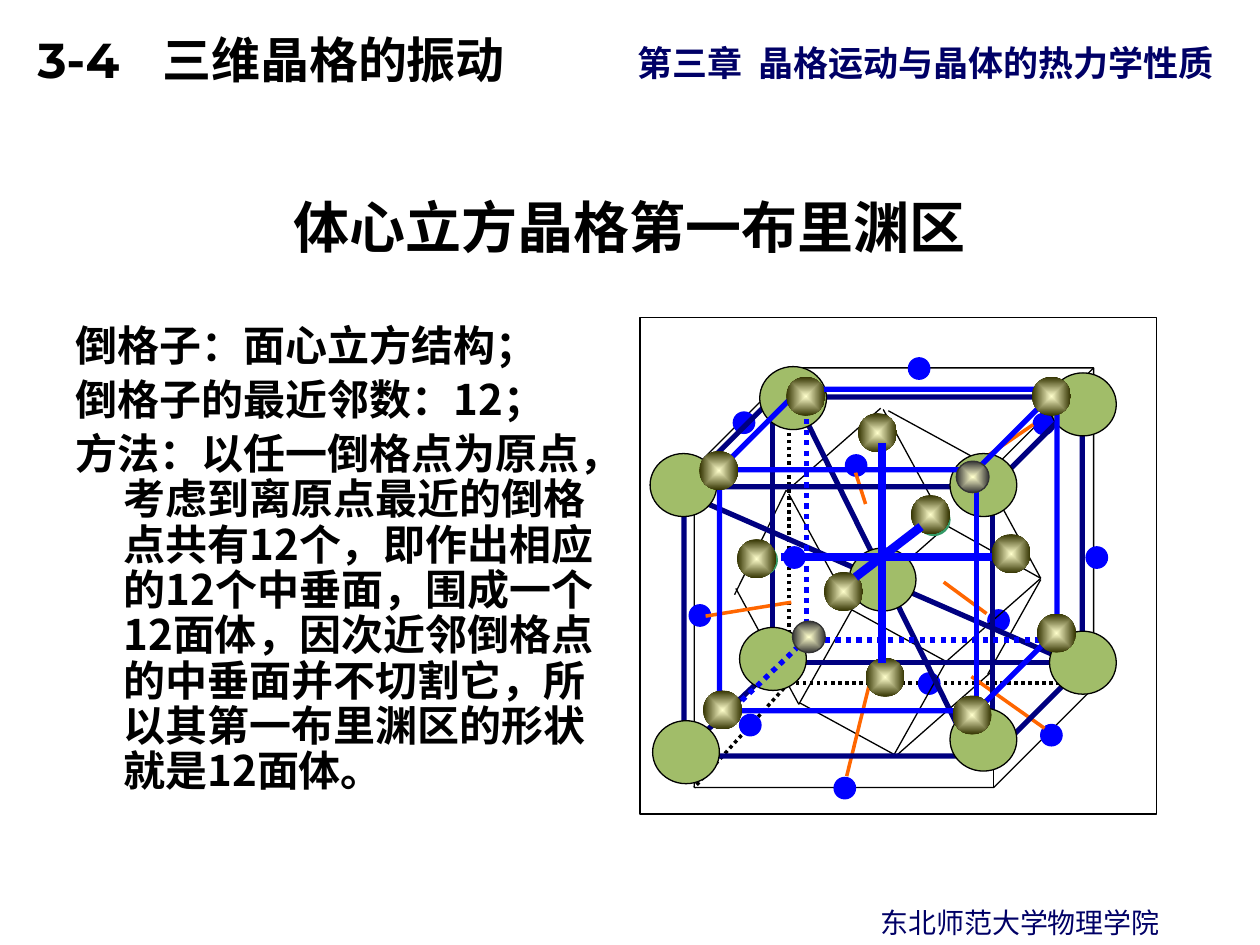
from lxml import etree
from pptx import Presentation, util as u
from pptx.dml.color import RGBColor
from pptx.enum import dml, shapes, text
from pptx.oxml.ns import qn

HEX = {"ink": "000000", "paper": "FFFFFF", "head": "000066", "navy": "000080",
       "blue": "0000FF", "orange": "FF6600", "leaf": "A1BD69", "green": "339966",
       "glow": "FFFFCC", "olive": "333300", "gray": "333333"}
RGB = {name: RGBColor.from_string(code) for name, code in HEX.items()}
CJK = "Noto Sans CJK SC"
KIND = shapes.MSO_SHAPE

deck = Presentation()
deck.slide_width, deck.slide_height = u.Inches(10), u.Inches(7.5)
# Grid of 100 columns by 75 rows
col, row = deck.slide_width / 100, deck.slide_height / 75
slide = deck.slides.add_slide(deck.slide_layouts[1])


def put(kind, x, y, w, h, fill=None, line=None, width=0.75):
    """Add a preset shape; a fill of two colours glows from the centre."""
    item = slide.shapes.add_shape(kind, int(x * col), int(y * row), int(w * col), int(h * row))
    item.shadow.inherit = False
    if isinstance(fill, tuple):
        item.fill.gradient()
        for stop, name in zip(item.fill.gradient_stops, fill):
            stop.color.rgb = RGB[name]
        grad = item._element.spPr.find(qn("a:gradFill"))
        grad.remove(grad.find(qn("a:lin")))
        way = etree.SubElement(grad, qn("a:path"), path="shape")
        etree.SubElement(way, qn("a:fillToRect"), l="50000", t="50000", r="50000", b="50000")
    elif fill:
        item.fill.solid()
        item.fill.fore_color.rgb = RGB[fill]
    else:
        item.fill.background()
    if line:
        item.line.color.rgb = RGB[line]
        item.line.width = u.Pt(width)
    else:
        item.line.fill.background()


def rod(x1, y1, x2, y2, color="ink", width=0.75, dots=False):
    """Add a straight line between two grid points."""
    item = slide.shapes.add_connector(shapes.MSO_CONNECTOR.STRAIGHT, int(x1 * col),
                                      int(y1 * row), int(x2 * col), int(y2 * row))
    item.line.color.rgb = RGB[color]
    item.line.width = u.Pt(width)
    if dots:
        item.line.dash_style = dml.MSO_LINE.ROUND_DOT
    etree.SubElement(item._element.spPr, qn("a:effectLst"))


# Title and body
title, body = slide.shapes.title, slide.placeholders[1]
title.text_frame.text = "体心立方晶格第一布里渊区"
body.text_frame.text = "\n".join([
    "倒格子：面心立方结构；",
    "倒格子的最近邻数：12；",
    "方法：以任一倒格点为原点，考虑到离原点最近的倒格点共有12个，即作出相应的12个中垂面，"
    "围成一个12面体，因次近邻倒格点的中垂面并不切割它，所以其第一布里渊区的形状就是12面体。"])
for i, para in enumerate(body.text_frame.paragraphs):
    props = para._p.get_or_add_pPr()
    props.set("marL", str(u.Inches(0.38)))
    props.set("indent", str(-u.Inches(0.38)))
    etree.SubElement(props, qn("a:buNone"))
    para.space_before = u.Pt(5 if i else 0)

# Header and footer: place, words, tab stop
heads = []
for x, y, w, h, words, tab in [(49.6, 2.8, 50.8, 4.4, "第三章\t晶格运动与晶体的热力学性质", 0.96),
                               (2, 0.7, 79.7, 6.9, "3-4\t三维晶格的振动", 0.99),
                               (68.9, 71.4, 31.1, 3.7, "东北师范大学物理学院", None)]:
    box = slide.shapes.add_textbox(int(x * col), int(y * row), int(w * col), int(h * row))
    box.text_frame.word_wrap = True
    box.text_frame.text = words
    if tab:
        props = box.text_frame.paragraphs[0]._p.get_or_add_pPr()
        tabs = etree.SubElement(props, qn("a:tabLst"))
        etree.SubElement(tabs, qn("a:tab"), pos=str(u.Inches(tab)), algn="l")
    heads.append(box)

# Place of the placeholders
for box, x, y, w, h in [(title, 7.5, 13.1, 85, 8.1), (body, 5, 25.3, 44.2, 40.8)]:
    box.left, box.top, box.width, box.height = int(x * col), int(y * row), int(w * col), int(h * row)
    box.text_frame.auto_size = text.MSO_AUTO_SIZE.NONE
title.text_frame.vertical_anchor = text.MSO_ANCHOR.BOTTOM
title.text_frame.paragraphs[0].alignment = text.PP_ALIGN.CENTER

# Fonts of all text
for box, size, color, bold, face, gap in [
        (title, 32, "ink", True, CJK, 0.9), (body, 24, "ink", True, CJK, 0.9),
        (heads[0], 20, "head", True, CJK, 1), (heads[1], 28, "ink", True, "Montserrat", 1.25),
        (heads[2], 16, "head", False, CJK, 1)]:
    for para in box.text_frame.paragraphs:
        para.line_spacing = gap
        for run in para.runs:
            run.font.size, run.font.bold, run.font.name = u.Pt(size), bold, face
            run.font.color.rgb = RGB[color]
            etree.SubElement(run._r.get_or_add_rPr(), qn("a:ea"), typeface=CJK)

# Frame and outer cube with dotted hidden edges
put(KIND.RECTANGLE, 50.8, 25.2, 41, 39.4, "paper", "ink")
put(KIND.CUBE, 55.1, 29.2, 31.7, 33.3, None, "ink")
for x, y in [(62.6, 29.2), (86.8, 54.2), (55.1, 62.5)]:
    rod(62.6, 54.2, x, y, "ink", 2, True)

# Small blue points
for x, y in [(58.2, 32.7), (62.2, 43.4), (66.2, 61.7), (86.2, 43.4), (67.1, 36.1), (54.7, 48),
             (58.7, 56.7), (82.6, 57.5), (82, 32.8), (72.1, 28.4), (72.9, 53.4), (78.4, 48.4)]:
    put(KIND.OVAL, x, y, 1.7, 1.7, "blue", "blue")

# Edges of the dodecahedron
for ends in [(70.1, 32.5, 75.1, 41.7), (75.1, 41.7, 82.6, 45.9), (70.5, 32.6, 78, 36.7),
             (77.6, 36.7, 82.6, 45.9), (62.6, 39.2, 67.6, 48.4), (58.4, 46.7, 63.4, 55.9),
             (62.4, 38.9, 58.3, 47.2), (69.9, 32.4, 62.4, 39), (75.2, 41.7, 67.7, 48.3),
             (82.6, 45.9, 75.1, 52.5), (67.6, 48.4, 75.1, 52.5), (67.6, 48.4, 63.4, 55.9),
             (63.5, 55.8, 71, 59.9), (75.1, 52.5, 70.9, 60), (78.6, 53.4, 71.1, 60),
             (82.6, 46, 78.4, 53.5)]:
    rod(*ends)

# Orange leaders to the faces
for ends in [(56, 48.9, 62.8, 47.8), (82, 33.7, 75.7, 38), (67.9, 37.5, 68.7, 40),
             (82.9, 57.8, 77.1, 53.7), (78.3, 48.7, 74.9, 46.2), (67.2, 61.6, 69.1, 53.9)]:
    rod(*ends, "orange", 2)

# Navy cube with its diagonals and back edges
for ends in [(55.5, 39.7, 84.6, 52.4), (64, 33.4, 75.9, 57.4)]:
    rod(*ends, "navy", 3)
put(KIND.CUBE, 54.3, 31.5, 31.6, 28.5, None, "navy", 3)
for ends in [(61.3, 31.5, 61.3, 53.2), (61.3, 52.6, 85.9, 52.6), (62.1, 52.3, 54.6, 59.4)]:
    rod(*ends, "navy", 3)

# Large atoms at the corners and the centre
for x, y in [(75.4, 56.2), (51.8, 57.2), (83.3, 50.1), (58.7, 49.8), (75.4, 36),
             (83.3, 29.6), (51.6, 36), (60.3, 29.1), (67.4, 43.5)]:
    put(KIND.OVAL, x, y, 5.3, 5, "leaf", "ink")

# Blue cube with dotted hidden edges
for ends in [(64, 31.6, 64, 50.9), (63.8, 50.8, 83.9, 50.8), (64, 50.7, 57.3, 57.1)]:
    rod(*ends, "blue", 3, True)
for x, y in [(59.1, 43.2), (72.8, 40)]:
    put(KIND.OVAL, x, y, 2.6, 2.5, "green", "green")
put(KIND.OVAL, 62.9, 49.3, 2.6, 2.5, ("glow", "gray"), "gray")
put(KIND.CUBE, 57.1, 30.9, 26.8, 25.5, None, "blue", 3)
put(KIND.OVAL, 75.9, 36.6, 2.6, 2.5, ("glow", "gray"), "gray")

# Twelve nearest neighbours
for x, y in [(55.5, 35.8), (62.4, 29.9), (81.9, 29.9), (72.3, 39.3), (58.5, 42.8), (82.3, 48.7),
             (68.7, 52.2), (55.8, 54.8), (75.6, 55.2), (65.4, 45.4), (78.7, 42.4), (68.1, 32.8)]:
    put(KIND.OVAL, x, y, 3.1, 3.1, ("glow", "olive"))

# Thick axes
for ends in [(62, 44.2, 78.7, 44.2), (70, 35.2, 70, 52.6), (73.1, 41.8, 67.9, 45.8)]:
    rod(*ends, "blue", 5)

deck.save("out.pptx")
